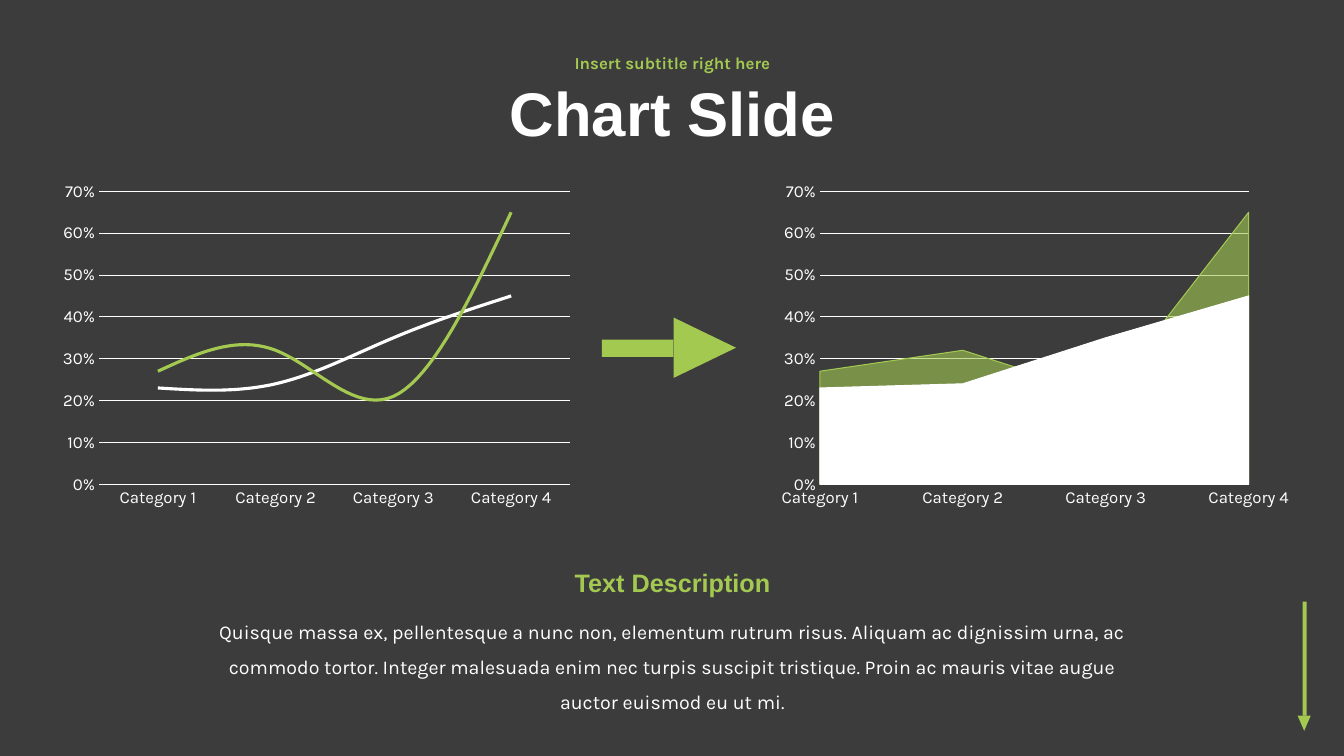
from dataclasses import dataclass

from lxml.etree import SubElement
from pptx import Presentation
from pptx.chart.data import CategoryChartData
from pptx.dml.color import RGBColor
from pptx.enum.chart import XL_CHART_TYPE as CHART, XL_TICK_MARK as TICK
from pptx.enum.shapes import MSO_SHAPE as SHAPE
from pptx.enum.text import MSO_ANCHOR as ANCHOR, MSO_AUTO_SIZE as AUTO, PP_ALIGN as ALIGN
from pptx.oxml import parse_xml
from pptx.oxml.ns import nsdecls, qn
from pptx.util import Inches, Pt


@dataclass(frozen=True)
class Theme:
    back: RGBColor = RGBColor(0x3C, 0x3C, 0x3C)
    white: RGBColor = RGBColor(0xFF, 0xFF, 0xFF)
    green: RGBColor = RGBColor(0xA3, 0xC9, 0x51)
    head_font: str = "Arial"
    body_font: str = "Karla"
    title: int = 44
    heading: int = 18
    body: int = 14
    small: int = 12
    hairline: float = 0.75
    curve: float = 2.25


class SlideBuilder:
    def __init__(self, prs, theme):
        self.theme = theme
        self.slide = prs.slides.add_slide(prs.slide_layouts[0])
        fill = self.slide.background.fill
        fill.solid()
        fill.fore_color.rgb = theme.back

    def add_text(self, sp, text, size, color, font, bold=False, spacing=1.0):
        tf = sp.text_frame
        tf.word_wrap = True
        p = tf.paragraphs[0]
        p.alignment = ALIGN.CENTER
        p.line_spacing = spacing
        p.space_before = Pt(0)
        r = p.add_run()
        r.text = text
        r.font.size = Pt(size)
        r.font.name = font
        r.font.bold = bold
        r.font.color.rgb = color

    def placeholder(self, idx, box, text, size, color, font):
        sp = self.slide.placeholders[idx]
        sp.left, sp.top, sp.width, sp.height = map(Inches, box)
        sp.text_frame.vertical_anchor = ANCHOR.MIDDLE
        sp.text_frame.auto_size = AUTO.NONE
        self.add_text(sp, text, size, color, font, True, 0.9)

    def textbox(self, box, text, size, color, font, bold=False, spacing=1.0):
        sp = self.slide.shapes.add_textbox(*map(Inches, box))
        sp.text_frame.auto_size = AUTO.SHAPE_TO_FIT_TEXT
        self.add_text(sp, text, size, color, font, bold, spacing)

    def arrow(self, shaft, head, rotation):
        group = self.slide.shapes.add_group_shape()
        for kind, box, turn in ((SHAPE.RECTANGLE, shaft, 0),
                                (SHAPE.ISOSCELES_TRIANGLE, head, rotation)):
            sp = group.shapes.add_shape(kind, *map(Inches, box))
            sp.rotation = turn
            sp.shadow.inherit = False
            sp.fill.solid()
            sp.fill.fore_color.rgb = self.theme.green
            sp.line.fill.background()

    def style_line(self, line, color, width):
        line.color.rgb = color
        line.width = Pt(width)

    def style_font(self, font, size):
        font.size = Pt(size)
        font.name = self.theme.body_font
        font.color.rgb = self.theme.white

    def chart(self, kind, box, data, plot_area):
        t = self.theme
        chart = self.slide.shapes.add_chart(kind, *map(Inches, box), data).chart
        chart.has_legend = False
        chart.has_title = False
        self.style_font(chart.font, t.small)
        for axis in (chart.category_axis, chart.value_axis):
            axis.major_tick_mark = axis.minor_tick_mark = TICK.NONE
            self.style_font(axis.tick_labels.font, t.small)
        chart.category_axis.has_major_gridlines = False
        self.style_line(chart.category_axis.format.line, t.white, t.hairline)
        values = chart.value_axis
        values.minimum_scale, values.maximum_scale, values.major_unit = 0, 0.7, 0.1
        values.tick_labels.number_format = "0%"
        values.tick_labels.number_format_is_linked = False
        values.format.line.fill.background()
        values.has_major_gridlines = True
        self.style_line(values.major_gridlines.format.line, t.white, t.hairline)
        plot = chart.plots[0]
        plot.vary_by_categories = False
        for series, color in zip(plot.series, (t.white, t.green)):
            if kind == CHART.LINE:
                series.smooth = True
                self.style_line(series.format.line, color, t.curve)
            else:
                series.format.fill.solid()
                series.format.fill.fore_color.rgb = color
                self.style_line(series.format.line, color, t.hairline)
        self.place_plot(chart, plot_area)
        return plot

    def place_plot(self, chart, plot_area):
        area = chart.plots[0]._element.getparent()
        for old in area.findall(qn("c:layout")):
            area.remove(old)
        x, y, w, h = plot_area
        area.insert(0, parse_xml(
            f'<c:layout {nsdecls("c")}><c:manualLayout><c:layoutTarget val="inner"/>'
            f'<c:xMode val="edge"/><c:yMode val="edge"/><c:x val="{x}"/><c:y val="{y}"/>'
            f'<c:w val="{w}"/><c:h val="{h}"/></c:manualLayout></c:layout>'))

    def set_opacity(self, series, percent):
        color = series._element.find(f'{qn("c:spPr")}/{qn("a:solidFill")}/{qn("a:srgbClr")}')
        SubElement(color, qn("a:alpha")).set("val", str(percent * 1000))


def main():
    prs = Presentation()
    prs.slide_width, prs.slide_height = Inches(13.33), Inches(7.5)
    t = Theme()
    page = SlideBuilder(prs, t)

    page.arrow((12.92, 5.97, 0.04, 1.13), (12.87, 7.1, 0.13, 0.15), 180)
    page.placeholder(0, (2.92, 0.64, 7.5, 1.03), "Chart Slide", t.title, t.white, t.head_font)
    page.placeholder(1, (2.92, 0.45, 7.5, 0.38), "Insert subtitle right here",
                     t.small, t.green, t.body_font)

    data = CategoryChartData(number_format="0%")
    data.categories = [f"Category {n}" for n in range(1, 5)]
    data.add_series("Series 1", (0.23, 0.24, 0.35, 0.45))
    data.add_series("Series 2", (0.27, 0.32, 0.21, 0.65))
    page.chart(CHART.LINE, (0.51, 1.73, 5.25, 3.38), data, (0.09, 0.05, 0.89, 0.86))
    page.arrow((5.97, 3.37, 0.71, 0.17), (6.69, 3.14, 0.6, 0.62), 90)
    area = page.chart(CHART.AREA, (7.66, 1.73, 5.25, 3.38), data, (0.09, 0.05, 0.81, 0.86))
    page.set_opacity(area.series[1], 60)

    page.textbox((1.92, 5.98, 9.5, 0.77),
                 "Quisque massa ex, pellentesque a nunc non, elementum rutrum risus. "
                 "Aliquam ac dignissim urna, ac commodo tortor. Integer malesuada enim nec "
                 "turpis suscipit tristique. Proin ac mauris vitae augue auctor euismod eu ut mi.",
                 t.body, t.white, t.body_font, spacing=1.5)
    page.textbox((5.21, 5.58, 2.92, 0.4), "Text Description",
                 t.heading, t.green, t.head_font, bold=True)
    prs.save("out.pptx")


if __name__ == "__main__":
    main()
